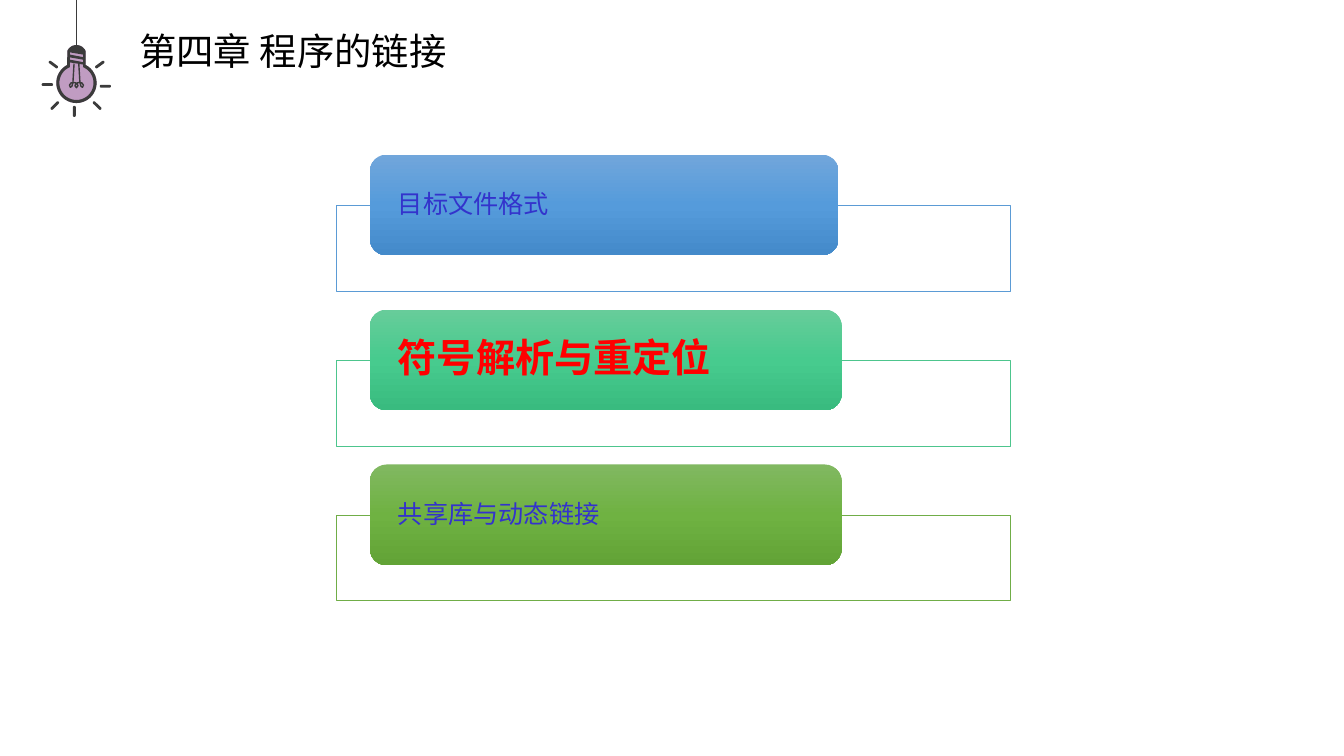
import copy
import math

import lxml.etree
import pptx
import pptx.dml.color
import pptx.enum.shapes
import pptx.enum.text
import pptx.oxml.ns
import pptx.util

Pt = pptx.util.Pt
RGBColor = pptx.dml.color.RGBColor
qn = pptx.oxml.ns.qn
SHAPES = pptx.enum.shapes.MSO_SHAPE
ANCHORS = pptx.enum.text.MSO_ANCHOR

FONT = "Noto Sans CJK SC"
BLACK = RGBColor(0x00, 0x00, 0x00)
WHITE = RGBColor(0xFF, 0xFF, 0xFF)
RED = RGBColor(0xFF, 0x00, 0x00)
INDIGO = RGBColor(0x33, 0x33, 0xCC)
INK = RGBColor(0x3B, 0x3B, 0x3B)
LILAC = RGBColor(0xC0, 0x9C, 0xC2)
BLUE = RGBColor(0x5B, 0x9B, 0xD5)
BLUES = (RGBColor(0x71, 0xA6, 0xDB), RGBColor(0x55, 0x9B, 0xDB), RGBColor(0x44, 0x8A, 0xCA))
TEAL = RGBColor(0x4D, 0xC5, 0x8D)
TEALS = (RGBColor(0x67, 0xCC, 0x9A), RGBColor(0x47, 0xCB, 0x8E), RGBColor(0x39, 0xBB, 0x7F))
GREEN = RGBColor(0x70, 0xAD, 0x47)
GREENS = (RGBColor(0x81, 0xB8, 0x61), RGBColor(0x6F, 0xB2, 0x42), RGBColor(0x62, 0xA3, 0x36))

BULB_X, BULB_Y = 54.6, 59.2
SECTIONS = [
    ("目标文件格式", 334.8, BLUE, BLUES, 18, INDIGO, False),
    ("符号解析与重定位", 337, TEAL, TEALS, 28, RED, True),
    ("共享库与动态链接", 337, GREEN, GREENS, 18, INDIGO, False),
]
SECTION_TOP, SECTION_PITCH = 110.4, 110.7


def write_text(shape, text, *, size, color, bold=False, inset=(7.2, 3.6), anchor=ANCHORS.TOP):
    frame = shape.text_frame
    frame.word_wrap = True
    frame.vertical_anchor = anchor
    frame.margin_left = frame.margin_right = Pt(inset[0])
    frame.margin_top = frame.margin_bottom = Pt(inset[1])
    para = frame.paragraphs[0]
    para.alignment = pptx.enum.text.PP_ALIGN.LEFT
    para.line_spacing = 0.9
    span = para.add_run()
    span.text = text
    span.font.size = Pt(size)
    span.font.bold = bold
    span.font.color.rgb = color
    span.font.name = FONT
    east_asian = lxml.etree.SubElement(span.font._element, qn("a:ea"))
    east_asian.set("typeface", FONT)


def add_block(page, kind, left, top, width, height):
    block = page.shapes.add_shape(kind, Pt(left), Pt(top), Pt(width), Pt(height))
    block.shadow.inherit = False
    return block


def add_frame(page, top, color):
    frame = add_block(page, SHAPES.RECTANGLE, 240, top, 481.6, 61.2)
    frame.fill.solid()
    frame.fill.fore_color.rgb = WHITE
    tint = frame._element.spPr.find(qn("a:solidFill"))[0]
    lxml.etree.SubElement(tint, qn("a:alpha")).set("val", "90000")
    frame.line.color.rgb = color
    frame.line.width = Pt(0.5)


def add_pill(page, top, width, colors):
    pill = add_block(page, SHAPES.ROUNDED_RECTANGLE, 264.2, top, width, 72)
    pill.line.fill.background()
    pill.fill.gradient()
    pill.fill.gradient_angle = 270
    stops = pill._element.spPr.find(qn("a:gradFill")).find(qn("a:gsLst"))
    stops.append(copy.deepcopy(stops[0]))
    for stop, color, position in zip(pill.fill.gradient_stops, colors, (0, 0.5, 1)):
        stop.color.rgb = color
        stop.position = position
    return pill


def add_outline(page, contours, *, fill=None, line=None, close=True):
    scaled = [[(x * 100, y * 100) for x, y in contour] for contour in contours]
    builder = page.shapes.build_freeform(*scaled[0][0], scale=Pt(1) / 100)
    for index, contour in enumerate(scaled):
        if index:
            builder.move_to(*contour[0])
        builder.add_line_segments(contour[1:], close=close)
    outline = builder.convert_to_shape()
    outline.shadow.inherit = False
    if fill is None:
        outline.fill.background()
    else:
        outline.fill.solid()
        outline.fill.fore_color.rgb = fill
    if line is None:
        outline.line.fill.background()
    else:
        outline.line.color.rgb = line
        outline.line.width = Pt(1)


def arc(x, y, radius, start, sweep, steps=36):
    angles = [math.radians(start + sweep * step / steps) for step in range(steps + 1)]
    return [(x + radius * math.cos(a), y + radius * math.sin(a)) for a in angles]


def bulb_contour(radius, neck, left_top, right_top):
    gap = math.degrees(math.asin(neck / radius))
    glass = arc(BULB_X, BULB_Y, radius, gap - 90, 360 - 2 * gap)
    return glass + [(BULB_X - neck, left_top), (BULB_X + neck, right_top)]


def add_ray(page, x1, y1, x2, y2):
    heading = math.degrees(math.atan2(y2 - y1, x2 - x1))
    ends = arc(x2, y2, 1, heading - 90, 180, 10) + arc(x1, y1, 1, heading + 90, 180, 10)
    add_outline(page, [ends], fill=INK)


def add_bulb(page):
    cap = arc(BULB_X, 39.4, 7.2, -155, 130, 12)
    body = bulb_contour(14.4, 6.6, 35, 35)
    add_outline(page, [body[:-2] + cap], fill=LILAC)
    left, right = BULB_X - 4.7, BULB_X + 4.7
    stripes = [
        [(left, y), (right, y + 1.6), (right, y + 3.4), (left, y + 1.6)]
        for y in (37.4, 41)
    ]
    inside = bulb_contour(12.2, 4.7, 44.6, 46.1)
    add_outline(page, [body[:-2] + cap, *stripes, inside], fill=INK)
    filament = [
        (-1.7, 45.4), (-2.5, 58.8), (-3.2, 61.6), (-4.3, 62.4), (-5, 60.8),
        (-3.8, 59.2), (-1.8, 59), (0, 59.4), (1.1, 61.2), (0, 62.7),
        (-1.1, 61.2), (0, 59.4), (1.8, 59), (3.8, 59.2), (5, 60.8),
        (4.3, 62.4), (3.2, 61.6), (2.5, 58.8), (1.7, 45.8),
    ]
    add_outline(page, [[(BULB_X + x, y) for x, y in filament]], line=INK, close=False)
    for ray in [
        (72.3, 61.6, 78.3, 61.6), (53.1, 76.6, 53.1, 82.5), (30.8, 60.4, 36.9, 60.4),
        (35.8, 44.4, 40.4, 47.8), (69, 47.8, 73.7, 44.4),
        (37.1, 77.5, 41.2, 73.4), (67.3, 73.4, 71.5, 77.5),
    ]:
        add_ray(page, *ray)


def add_cord(page):
    cord = page.shapes.add_connector(
        pptx.enum.shapes.MSO_CONNECTOR.STRAIGHT, Pt(BULB_X), Pt(35), Pt(BULB_X), Pt(0)
    )
    cord.line.color.rgb = INK
    cord.line.width = Pt(1)
    lxml.etree.SubElement(cord._element.spPr, qn("a:effectLst"))


def main():
    deck = pptx.Presentation()
    deck.slide_width, deck.slide_height = Pt(960), Pt(540)
    page = deck.slides.add_slide(deck.slide_layouts[6])
    add_bulb(page)
    add_cord(page)
    title = page.shapes.add_textbox(Pt(92.2), Pt(20.2), Pt(841), Pt(52.6))
    write_text(title, "第四章 程序的链接", size=26.7, color=BLACK)
    for row, (text, width, border, colors, size, color, bold) in enumerate(SECTIONS):
        top = SECTION_TOP + row * SECTION_PITCH
        add_frame(page, top + 36.2, border)
        pill = add_pill(page, top, width, colors)
        write_text(pill, text, size=size, color=color, bold=bold,
                   inset=(16.5, 0), anchor=ANCHORS.MIDDLE)
    deck.save("out.pptx")


if __name__ == "__main__":
    main()
